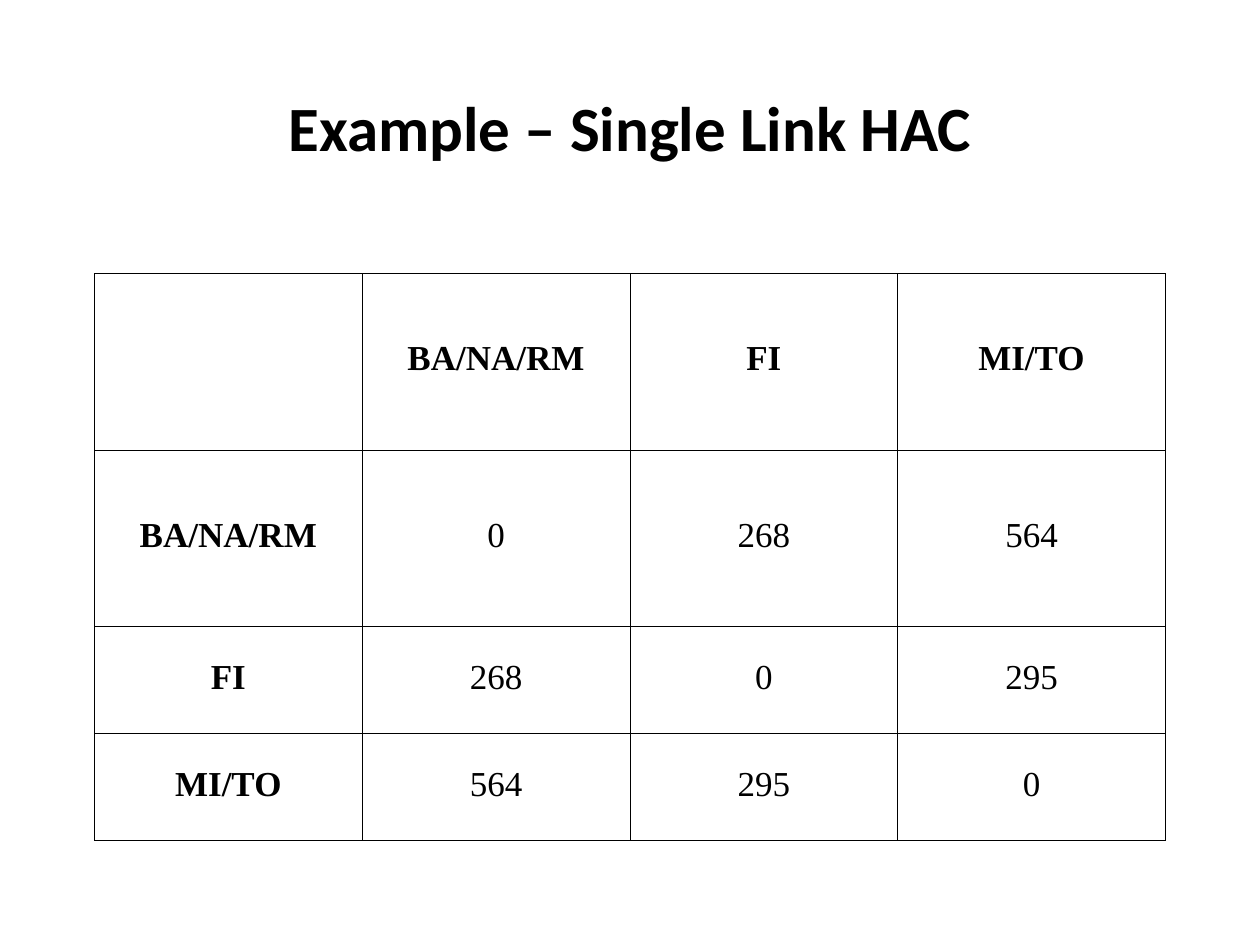
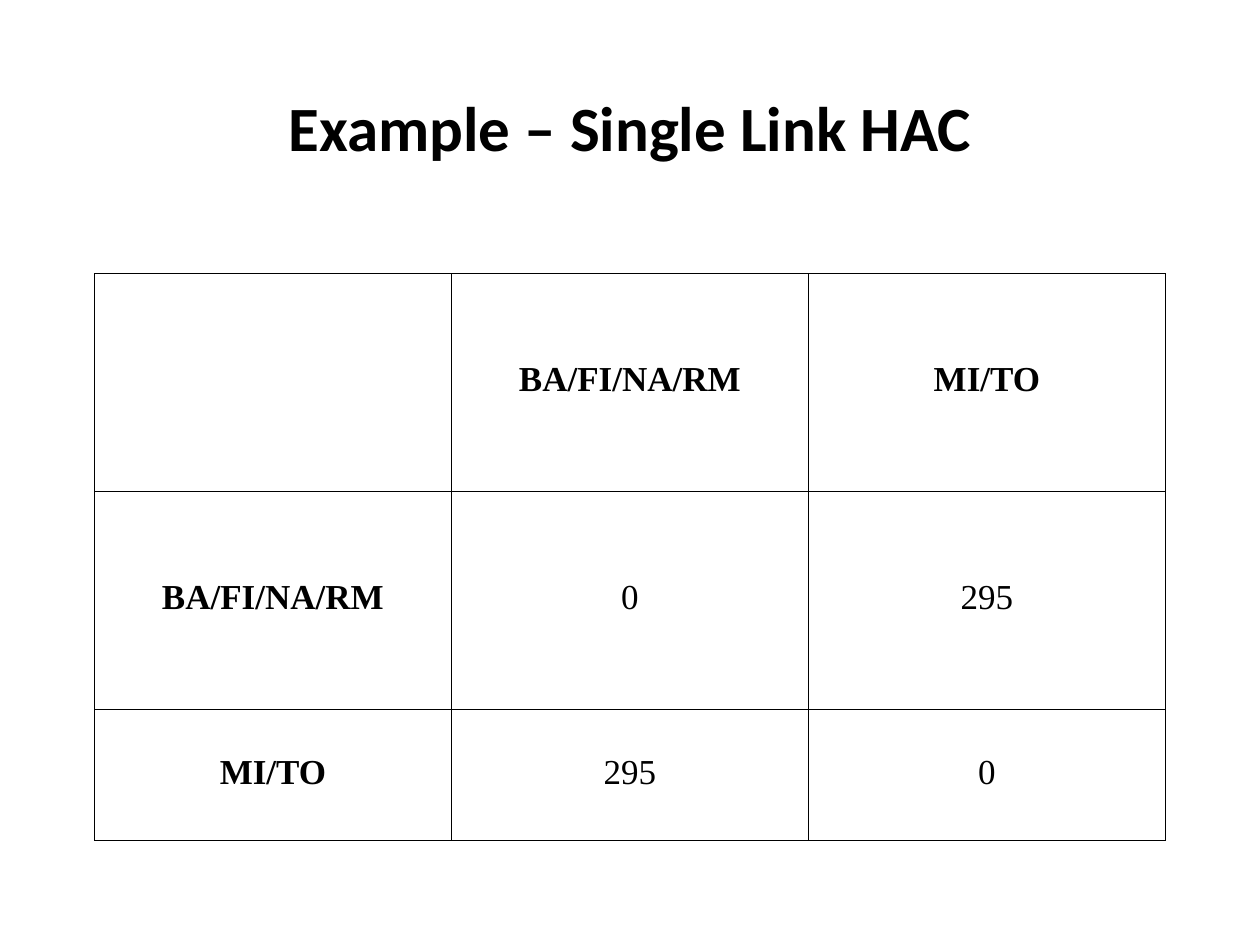
from lxml import etree
from pptx import Presentation
from pptx.dml.color import RGBColor
from pptx.enum.text import MSO_ANCHOR, PP_ALIGN
from pptx.oxml.ns import qn
from pptx.util import Inches, Pt

MIDDLE = MSO_ANCHOR.MIDDLE
CENTER = PP_ALIGN.CENTER
TITLE_ONLY = 5
BORDER_SIDES = ("a:lnL", "a:lnR", "a:lnT", "a:lnB")
TITLE = "Example – Single Link HAC"

DISTANCE_TABLES = [
    {
        "clusters": ["BA/NA/RM", "FI", "MI/TO"],
        "distances": [[0, 268, 564], [268, 0, 295], [564, 295, 0]],
        "heights": [1.4, 1.4, 0.85, 0.85],
    },
    {
        "clusters": ["BA/FI/NA/RM", "MI/TO"],
        "distances": [[0, 295], [295, 0]],
        "heights": [1.73, 1.73, 1.04],
    },
]


def color(value):
    return RGBColor.from_string(value)


def write(frame, text, *, font, size, ink, bold=False, spacing=None):
    frame.word_wrap = True
    para = frame.paragraphs[0]
    para.alignment = CENTER
    para.line_spacing = spacing
    span = para.add_run()
    span.text = text
    span.font.name = font
    span.font.size = Pt(size)
    span.font.bold = bold
    span.font.color.rgb = color(ink)


class DistanceDeck:
    ink = "000000"
    paper = "FFFFFF"
    title_font = "Calibri"
    table_font = "Times New Roman"
    left, width = 0.75, 8.5
    border_width = 0.34

    def __init__(self):
        self.deck = Presentation()
        self.deck.slide_width = Inches(10)
        self.deck.slide_height = Inches(7.5)
        self.page = None

    def add_page(self, title):
        self.page = self.deck.slides.add_slide(self.deck.slide_layouts[TITLE_ONLY])
        background = self.page.background.fill
        background.solid()
        background.fore_color.rgb = color(self.paper)
        box = self.page.shapes.title
        box.left, box.top = Inches(self.left), Inches(0.67)
        box.width, box.height = Inches(self.width), Inches(0.67)
        box.text_frame.vertical_anchor = MIDDLE
        write(box.text_frame, title, font=self.title_font, size=36, ink=self.ink, bold=True)

    def add_borders(self, cell):
        properties = cell._tc.get_or_add_tcPr()
        for side in BORDER_SIDES:
            line = etree.SubElement(properties, qn(side), w=str(Pt(self.border_width)))
            fill = etree.SubElement(line, qn("a:solidFill"))
            etree.SubElement(fill, qn("a:srgbClr"), val=self.ink)

    def add_distances(self, clusters, distances, heights):
        rows = [["", *clusters]]
        rows += [[name, *values] for name, values in zip(clusters, distances)]
        count = len(rows)
        table = self.page.shapes.add_table(
            count, count, Inches(self.left), Inches(2.17),
            Inches(self.width), Inches(sum(heights)),
        ).table
        table.first_row = False
        table.horz_banding = False
        for column in table.columns:
            column.width = Inches(self.width / count)
        for row, height in zip(table.rows, heights):
            row.height = Inches(height)
        for i, values in enumerate(rows):
            for j, value in enumerate(values):
                cell = table.cell(i, j)
                cell.vertical_anchor = MIDDLE
                self.add_borders(cell)
                cell.fill.background()
                if value != "":
                    write(cell.text_frame, str(value), font=self.table_font, size=20,
                          ink=self.ink, bold=i == 0 or j == 0, spacing=0.8)


def main():
    builder = DistanceDeck()
    for distance_table in DISTANCE_TABLES:
        builder.add_page(TITLE)
        builder.add_distances(**distance_table)
    builder.deck.save("out.pptx")


if __name__ == "__main__":
    main()
